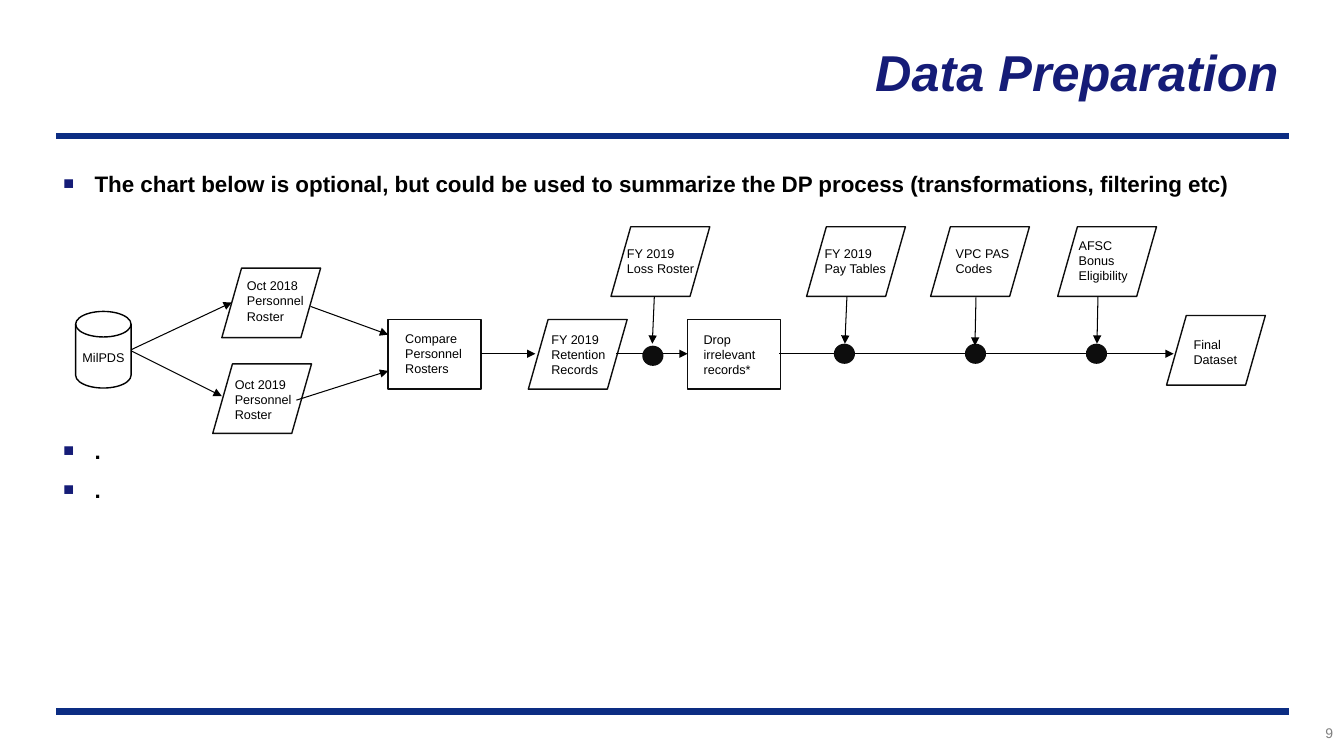
from lxml import etree
from pptx import Presentation
from pptx.dml.color import RGBColor
from pptx.enum.shapes import MSO_CONNECTOR, MSO_SHAPE
from pptx.enum.text import MSO_ANCHOR, PP_ALIGN
from pptx.oxml.ns import qn
from pptx.util import Inches, Pt

STRAIGHT = MSO_CONNECTOR.STRAIGHT
DISK = MSO_SHAPE.FLOWCHART_MAGNETIC_DISK
PROCESS = MSO_SHAPE.FLOWCHART_PROCESS
DATA = MSO_SHAPE.FLOWCHART_DATA
OVAL = MSO_SHAPE.OVAL
LEFT, RIGHT = PP_ALIGN.LEFT, PP_ALIGN.RIGHT
TOP, MIDDLE = MSO_ANCHOR.TOP, MSO_ANCHOR.MIDDLE

COLORS = {"navy": "151C77", "rule": "0C2D83", "black": "000000",
          "ink": "0D0D0D", "grey": "808080"}
FONT = "Arial"
DATA_SIZE = (0.98, 0.69)
PROCESS_SIZE = (0.92, 0.69)
DOT_SIZE = (0.21, 0.2)


def rgb(name):
    return RGBColor.from_string(COLORS[name])


class FlowSlide:
    def __init__(self, prs):
        self.s = prs.slides.add_slide(prs.slide_layouts[6])

    def text(self, box, lines, size=9, color="black", bold=False, italic=False,
             align=LEFT, anchor=TOP):
        sp = self.s.shapes.add_textbox(*map(Inches, box))
        tf = sp.text_frame
        tf.word_wrap = True
        tf.vertical_anchor = anchor
        tf.text = "\n".join(lines)
        for p in tf.paragraphs:
            p.alignment = align
            for r in p.runs:
                r.font.name, r.font.size = FONT, Pt(size)
                r.font.bold, r.font.italic = bold, italic
                r.font.color.rgb = rgb(color)
        return tf

    def bullets(self, box, items):
        tf = self.text(box, [line for line, _ in items], size=16, bold=True)
        for p, (_, space) in zip(tf.paragraphs, items):
            p.space_before = Pt(space)
            pPr = p._p.get_or_add_pPr()
            pPr.set("marL", str(Inches(0.31)))
            pPr.set("indent", str(-Inches(0.31)))
            clr = etree.SubElement(pPr, qn("a:buClr"))
            etree.SubElement(clr, qn("a:srgbClr"), val=COLORS["navy"])
            etree.SubElement(pPr, qn("a:buSzPct"), val="80000")
            etree.SubElement(pPr, qn("a:buFont"), typeface=FONT)
            etree.SubElement(pPr, qn("a:buChar"), char="■")

    def shape(self, kind, at, size, line="ink", fill=None):
        sp = self.s.shapes.add_shape(kind, *map(Inches, at + size))
        sp.shadow.inherit = False
        if fill:
            sp.fill.solid()
            sp.fill.fore_color.rgb = rgb(fill)
            sp.line.fill.background()
        else:
            sp.fill.background()
            sp.line.color.rgb = rgb(line)
            sp.line.width = Pt(1)

    def line(self, start, end, color="black", width=0.75, arrow=True):
        cx = self.s.shapes.add_connector(STRAIGHT, *map(Inches, start + end))
        cx.line.color.rgb = rgb(color)
        cx.line.width = Pt(width)
        if arrow:
            etree.SubElement(cx.line._get_or_add_ln(), qn("a:tailEnd"), type="triangle")
        etree.SubElement(cx._element.spPr, qn("a:effectLst"))


def main():
    prs = Presentation()
    prs.slide_width, prs.slide_height = Inches(13.33), Inches(7.5)
    slide = FlowSlide(prs)

    # Frame: rules, title, page number
    for y in (1.35, 7.06):
        slide.line((0.56, y), (12.78, y), "rule", 4.5, arrow=False)
    slide.text((2.36, 0.08, 10.42, 1.25), ["Data Preparation"], 36, "navy",
               bold=True, italic=True, align=RIGHT, anchor=MIDDLE)
    slide.text((11.65, 7.14, 1.67, 0.33), ["9"], 10, "grey", align=RIGHT)

    # Bullets, with room for the flow chart after the first
    slide.bullets((0.53, 1.64, 12.25, 5.19), [
        ("The chart below is optional, but could be used to summarize "
         "the DP process (transformations, filtering etc)", 0),
        (".", 171.5), (".", 8.7)])

    # Flow chart steps: kind, position, size, label, label box
    steps = [
        (DISK, (0.75, 3.09), (0.55, 0.76), "MilPDS", (0.72, 3.42, 0.66, 0.25)),
        (DATA, (2.2, 2.66), DATA_SIZE, "Oct 2018 Personnel Roster", (2.35, 2.71, 0.85, 0.56)),
        (DATA, (2.11, 3.61), DATA_SIZE, "Oct 2019 Personnel Roster", (2.23, 3.69, 0.85, 0.56)),
        (PROCESS, (3.85, 3.17), PROCESS_SIZE, "Compare Personnel Rosters", (3.92, 3.23, 0.92, 0.56)),
        (DATA, (5.24, 3.17), DATA_SIZE, "FY 2019 Retention Records", (5.37, 3.24, 0.92, 0.56)),
        (DATA, (6.06, 2.25), DATA_SIZE, "FY 2019 Loss Roster", (6.12, 2.39, 0.9, 0.4)),
        (PROCESS, (6.82, 3.17), PROCESS_SIZE, "Drop irrelevant records*", (6.88, 3.24, 0.81, 0.56)),
        (DATA, (8, 2.25), DATA_SIZE, "FY 2019 Pay Tables", (8.08, 2.39, 0.87, 0.4)),
        (DATA, (9.23, 2.25), DATA_SIZE, "VPC PAS Codes", (9.38, 2.39, 0.87, 0.4)),
        (DATA, (10.49, 2.25), DATA_SIZE, "AFSC Bonus Eligibility", (10.6, 2.31, 0.87, 0.56)),
        (DATA, (11.57, 3.13), DATA_SIZE, "Final Dataset", (11.74, 3.29, 0.9, 0.4)),
    ]
    for kind, at, size, label, label_box in steps:
        slide.shape(kind, at, size, "black" if kind == DISK else "ink")
        slide.text(label_box, [label])

    # Arrows between steps
    for start, end in [
        ((1.3, 3.47), (2.3, 3)), ((1.3, 3.48), (2.2, 3.93)),
        ((3.08, 3.04), (3.85, 3.32)), ((2.94, 3.97), (3.85, 3.68)),
        ((4.77, 3.51), (5.31, 3.51)), ((6.11, 3.51), (6.82, 3.51)),
        ((7.73, 3.51), (11.64, 3.51)),
    ]:
        slide.line(start, end)

    # Junction dots, each fed from the data set above
    for dot, start, end in [
        ((6.37, 3.43), (6.49, 2.94), (6.47, 3.41)),
        ((8.27, 3.41), (8.4, 2.94), (8.38, 3.41)),
        ((9.57, 3.41), (9.68, 2.95), (9.67, 3.43)),
        ((10.77, 3.41), (10.89, 2.94), (10.88, 3.41)),
    ]:
        slide.shape(OVAL, dot, DOT_SIZE, fill="ink")
        slide.line(start, end)

    prs.save("out.pptx")


if __name__ == "__main__":
    main()
